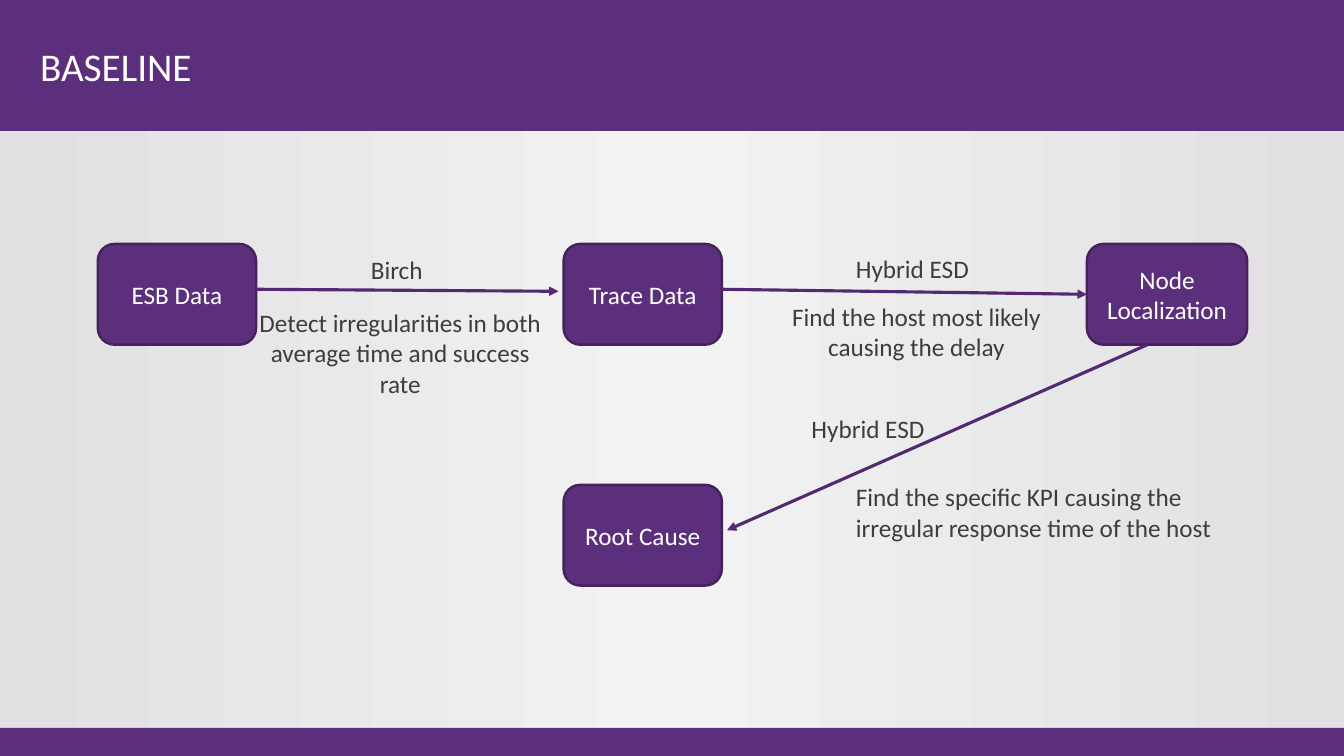
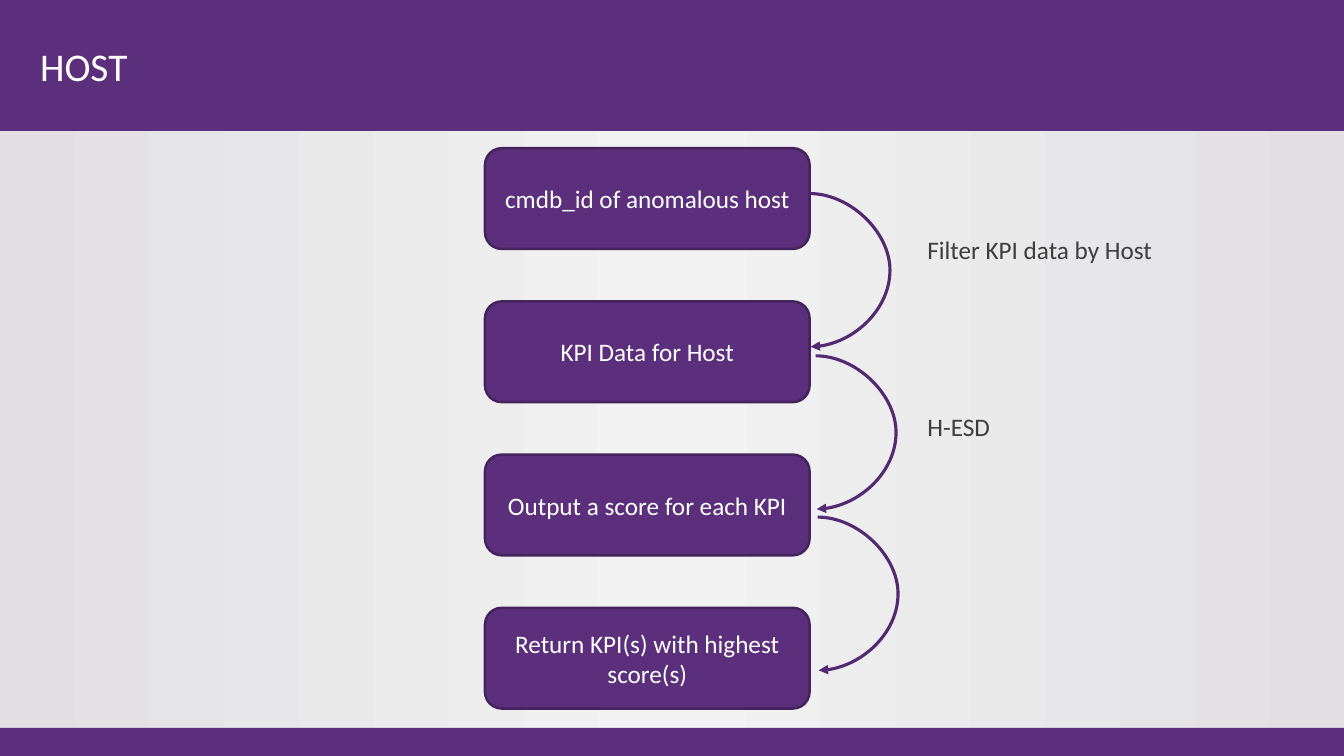
"""Build two slides: the baseline flow and the host-level KPI steps."""
from copy import deepcopy
from dataclasses import dataclass

from lxml.etree import SubElement
from pptx import Presentation
from pptx.dml.color import RGBColor
from pptx.enum.shapes import MSO_CONNECTOR, MSO_SHAPE
from pptx.enum.text import MSO_ANCHOR, MSO_AUTO_SIZE, PP_ALIGN
from pptx.oxml.ns import qn
from pptx.util import Pt

RECT, ROUNDED = MSO_SHAPE.RECTANGLE, MSO_SHAPE.ROUNDED_RECTANGLE
STRAIGHT, CURVE = MSO_CONNECTOR.STRAIGHT, MSO_CONNECTOR.CURVE
LEFT, CENTER = PP_ALIGN.LEFT, PP_ALIGN.CENTER
TOP, MIDDLE = MSO_ANCHOR.TOP, MSO_ANCHOR.MIDDLE
FIT_TEXT = MSO_AUTO_SIZE.SHAPE_TO_FIT_TEXT
LEFT_SIDE = 1


@dataclass(frozen=True)
class Theme:
    font: str = "Calibri"
    purple: str = "5C2F7D"
    outline: str = "44235C"
    arrow: str = "532A71"
    light: str = "FFFFFF"
    dark: str = "3D3D3D"
    backdrop: tuple = ((0, "E1DFE2"), (0.5, "F2F2F2"), (1, "E1DFE2"))
    title_size: int = 28
    body_size: int = 18
    outline_width: float = 1.75
    arrow_width: float = 2.25


THEME = Theme()
EMU_PER_PX = 9144
SLIDE_W, SLIDE_H = 1333, 750
BANDS = [(0, 0, SLIDE_W, 130), (0, 722, SLIDE_W, 28)]
TITLE_BOX = (30, 10, 1181, 111)

NODE_H = 100
ROW_1, ROW_2 = 242, 481
BASELINE_NODES = [
    ("ESB Data", 97, ROW_1, 157),
    ("Trace Data", 559, ROW_1, 157),
    ("Node Localization", 1078, ROW_1, 159),
    ("Root Cause", 559, ROW_2, 157),
]
BASELINE_ARROWS = [
    ((254, 287), (554, 289), None),
    ((715, 287), (1078, 292), "Node Localization"),
    ((1138, 342), (721, 526), None),
]
BASELINE_LABELS = [
    ("Birch", (358, 247, 300, 40), LEFT),
    ("Hybrid ESD", (839, 246, 148, 41), LEFT),
    ("Hybrid ESD", (795, 405, 148, 41), LEFT),
    ("Detect irregularities in both average time and success rate", (242, 300, 310, 101), CENTER),
    ("Find the host most likely causing the delay", (739, 294, 340, 71), CENTER),
    ("Find the specific KPI causing the irregular response time of the host",
     (839, 473, 405, 71), LEFT),
]

STEP_X, STEP_Y, STEP_W, STEP_PITCH = 481, 147, 322, 152
HOST_STEPS = [
    "cmdb_id of anomalous host",
    "KPI Data for Host",
    "Output a score for each KPI",
    "Return KPI(s) with highest score(s)",
]
HOST_ARROW_STARTS = [(803, 192), (809, 353), (811, 513)]
ARROW_DRIFT, ARROW_BULGE = 1, 81
HOST_LABELS = [
    ("Filter KPI data by Host", (910, 228, 300, 40), LEFT),
    ("H-ESD", (910, 403, 300, 40), LEFT),
]


def px(*lengths):
    return [length * EMU_PER_PX for length in lengths]


def rgb(color):
    return RGBColor.from_string(color)


def write(shape, text, *, size=THEME.body_size, color=THEME.dark, align=LEFT, anchor=TOP):
    frame = shape.text_frame
    frame.word_wrap = True
    frame.vertical_anchor = anchor
    paragraph = frame.paragraphs[0]
    paragraph.alignment = align
    run = paragraph.add_run()
    run.text = text
    run.font.name = THEME.font
    run.font.size = Pt(size)
    run.font.color.rgb = rgb(color)


def add_panel(slide, kind, box, outlined=False):
    panel = slide.shapes.add_shape(kind, *px(*box))
    panel.shadow.inherit = False
    panel.fill.solid()
    panel.fill.fore_color.rgb = rgb(THEME.purple)
    if outlined:
        panel.line.color.rgb = rgb(THEME.outline)
        panel.line.width = Pt(THEME.outline_width)
    else:
        panel.line.fill.background()
    return panel


def add_node(slide, text, x, y, width):
    node = add_panel(slide, ROUNDED, (x, y, width, NODE_H), outlined=True)
    write(node, text, color=THEME.light, align=CENTER, anchor=MIDDLE)
    return node


def add_labels(slide, labels):
    for text, box, align in labels:
        label = slide.shapes.add_textbox(*px(*box))
        write(label, text, align=align)
        label.text_frame.auto_size = FIT_TEXT


def add_arrow(slide, kind, start, end):
    arrow = slide.shapes.add_connector(kind, *px(*start, *end))
    arrow.line.color.rgb = rgb(THEME.arrow)
    arrow.line.width = Pt(THEME.arrow_width)
    properties = arrow.element.spPr
    SubElement(properties.find(qn("a:ln")), qn("a:tailEnd"), type="triangle")
    SubElement(properties, qn("a:effectLst"))
    return arrow


def paint_backdrop(master):
    fill = master.background.fill
    fill.gradient()
    fill.gradient_angle = 0
    stops = master.element.find(".//" + qn("a:gsLst"))
    stops.insert(1, deepcopy(stops[0]))
    for stop, (position, color) in zip(fill.gradient_stops, THEME.backdrop):
        stop.position = position
        stop.color.rgb = rgb(color)


def add_slide(deck, title):
    slide = deck.slides.add_slide(deck.slide_layouts[6])
    for band in BANDS:
        add_panel(slide, RECT, band)
    heading = slide.shapes.add_textbox(*px(*TITLE_BOX))
    write(heading, title, size=THEME.title_size, color=THEME.light, anchor=MIDDLE)
    return slide


def build_baseline(deck):
    slide = add_slide(deck, "BASELINE")
    nodes = {node[0]: add_node(slide, *node) for node in BASELINE_NODES}
    for start, end, target in BASELINE_ARROWS:
        arrow = add_arrow(slide, STRAIGHT, start, end)
        if target:
            arrow.end_connect(nodes[target], LEFT_SIDE)
    add_labels(slide, BASELINE_LABELS)


def build_host(deck):
    slide = add_slide(deck, "HOST")
    for row, step in enumerate(HOST_STEPS):
        add_node(slide, step, STEP_X, STEP_Y + row * STEP_PITCH, STEP_W)
    add_labels(slide, HOST_LABELS)
    bulge = 100000 * ARROW_BULGE // ARROW_DRIFT
    for x, y in HOST_ARROW_STARTS:
        arrow = add_arrow(slide, CURVE, (x, y), (x + ARROW_DRIFT, y + STEP_PITCH))
        adjustments = arrow.element.spPr.find(".//" + qn("a:avLst"))
        SubElement(adjustments, qn("a:gd"), name="adj1", fmla=f"val {bulge}")


def main():
    deck = Presentation()
    deck.slide_width, deck.slide_height = px(SLIDE_W, SLIDE_H)
    paint_backdrop(deck.slide_master)
    build_baseline(deck)
    build_host(deck)
    deck.save("out.pptx")


if __name__ == "__main__":
    main()
